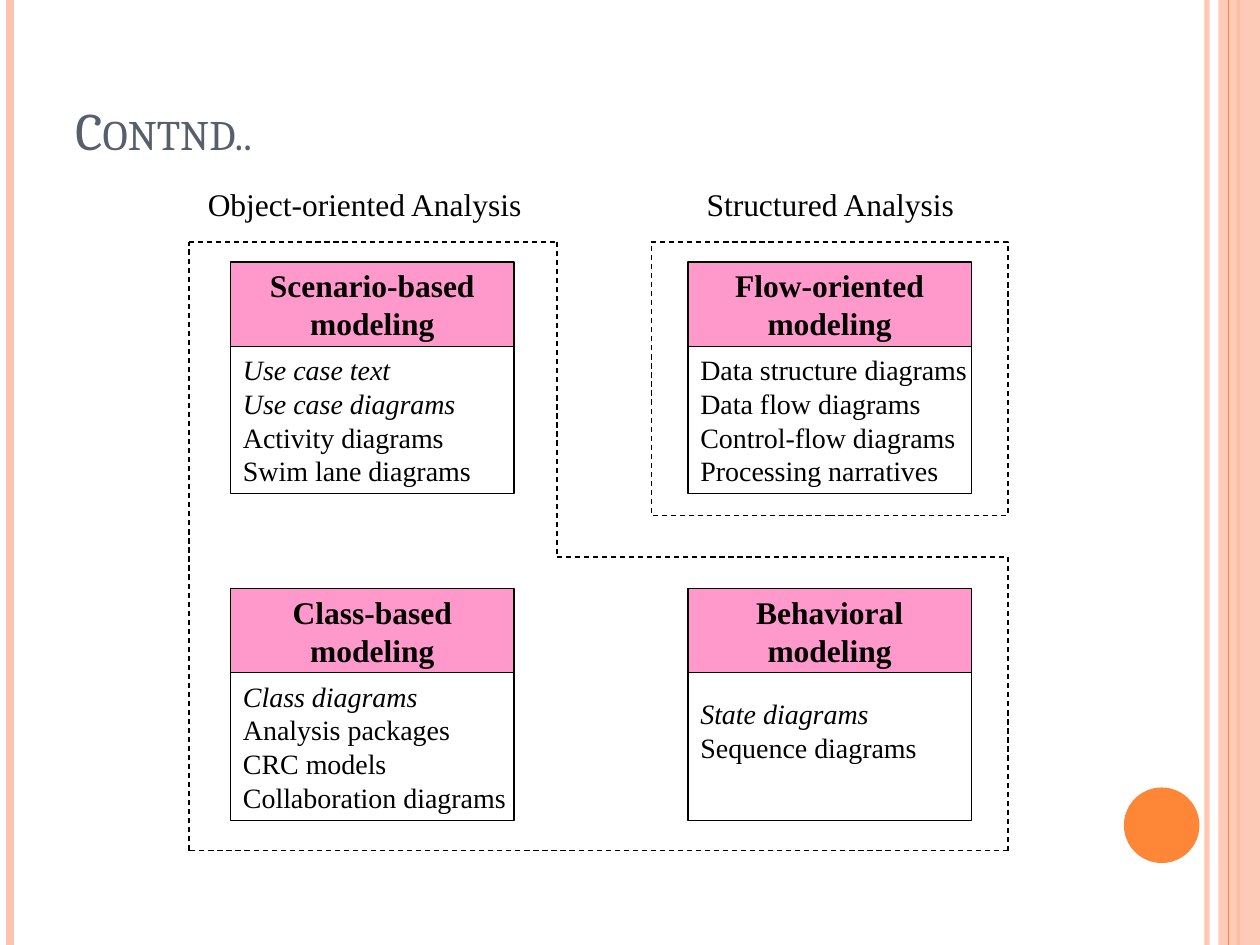
from dataclasses import dataclass
from itertools import pairwise

from lxml import etree
from pptx import Presentation
from pptx.dml.color import RGBColor
from pptx.enum.dml import MSO_LINE
from pptx.enum.shapes import MSO_CONNECTOR, MSO_SHAPE
from pptx.enum.text import MSO_ANCHOR, PP_ALIGN
from pptx.oxml.ns import qn
from pptx.util import Inches, Pt

RECT, OVAL = MSO_SHAPE.RECTANGLE, MSO_SHAPE.OVAL
STRAIGHT, DASH = MSO_CONNECTOR.STRAIGHT, MSO_LINE.DASH
LEFT, CENTER = PP_ALIGN.LEFT, PP_ALIGN.CENTER
TOP, MIDDLE, BOTTOM = MSO_ANCHOR.TOP, MSO_ANCHOR.MIDDLE, MSO_ANCHOR.BOTTOM


@dataclass(frozen=True)
class Theme:
    ink: str = "000000"
    paper: str = "FFFFFF"
    pink: str = "FF99CC"
    peach: str = "FEC3AE"
    orange: str = "FE8637"
    slate: str = "575F6D"
    serif: str = "Times New Roman"
    display: str = "Cambria"
    title: int = 30
    head: int = 18
    body: int = 16
    thin: float = 0.75


def fade(fill, percent):
    """Set the opacity of the solid colour found inside an element."""
    color = fill.find(".//" + qn("a:srgbClr"))
    etree.SubElement(color, qn("a:alpha"), val=str(percent * 1000))


def write(frame, lines, *, size, font, color, bold=False, italics=0,
          align=LEFT, anchor=MIDDLE, wrap=False, caps=False):
    """Write one paragraph per line; the first `italics` lines are italic."""
    frame.word_wrap = wrap
    frame.vertical_anchor = anchor
    for i, line in enumerate(lines):
        para = frame.paragraphs[0] if i == 0 else frame.add_paragraph()
        para.alignment = align
        run = para.add_run()
        run.text = line
        run.font.size = Pt(size)
        run.font.name = font
        run.font.bold = bold
        run.font.italic = i < italics
        run.font.color.rgb = RGBColor.from_string(color)
        if caps:
            run.font._element.set("cap", "small")


class Board:
    def __init__(self, slide, theme):
        self.slide = slide
        self.theme = theme

    def shape(self, kind, x, y, w, h, fill=None, line=None, dash=None,
              alpha=None, home=None):
        """Draw a preset shape on the slide, or in the group `home`."""
        shapes = (home or self.slide).shapes
        item = shapes.add_shape(kind, *map(Inches, (x, y, w, h)))
        item.shadow.inherit = False
        if fill:
            item.fill.solid()
            item.fill.fore_color.rgb = RGBColor.from_string(fill)
        else:
            item.fill.background()
        if alpha:
            fade(item._element.spPr, alpha)
        if line:
            item.line.color.rgb = RGBColor.from_string(line)
            item.line.width = Pt(self.theme.thin)
            item.line.dash_style = dash
        else:
            item.line.fill.background()
        return item

    def line(self, start, end, color, width, dash=None, alpha=None):
        item = self.slide.shapes.add_connector(
            STRAIGHT, *map(Inches, (*start, *end)))
        item.line.color.rgb = RGBColor.from_string(color)
        item.line.width = Pt(width)
        item.line.dash_style = dash
        props = item._element.spPr
        if alpha:
            fade(props, alpha)
        etree.SubElement(props, qn("a:effectLst"))

    def rule(self, x, color, width, alpha=None):
        """Draw a line down the full height of the slide."""
        self.line((x, 0), (x, 7.5), color, width, alpha=alpha)

    def text(self, x, y, w, h, words, **style):
        box = self.slide.shapes.add_textbox(*map(Inches, (x, y, w, h)))
        write(box.text_frame, [words], **style)

    def label(self, x, w, words):
        t = self.theme
        self.text(x, 1.42, w, 0.4, words, size=t.head, font=t.serif,
                  color=t.ink, align=CENTER, anchor=TOP)

    def card(self, x, y, name, items, italics=0, pad=0.05):
        """Group a pink heading with the list of diagrams below it."""
        t = self.theme
        group = self.slide.shapes.add_group_shape()
        body = self.shape(RECT, x, y + 0.67, 2.25, 1.17, t.paper, t.ink,
                          home=group)
        body.text_frame.margin_bottom = Inches(pad)
        write(body.text_frame, items, size=t.body, font=t.serif,
              color=t.ink, italics=italics)
        head = self.shape(RECT, x, y, 2.25, 0.67, t.pink, t.ink, home=group)
        write(head.text_frame, [name, "modeling"], size=t.head, font=t.serif,
              color=t.ink, bold=True, align=CENTER)

    def loop(self, points):
        """Join the points with dashed lines and close the outline."""
        for start, end in pairwise([*points, points[0]]):
            self.line(start, end, self.theme.ink, self.theme.thin, DASH)


def main():
    deck = Presentation()
    deck.slide_width, deck.slide_height = Inches(10), Inches(7.5)
    theme = Theme()
    board = Board(deck.slides.add_slide(deck.slide_layouts[6]), theme)

    board.rule(9.58, theme.peach, 3, alpha=93)
    board.rule(0.08, theme.peach, 4.5)
    board.rule(9.83, theme.orange, 1.5)
    board.shape(RECT, 9.67, 0, 0.33, 7.5, theme.peach, alpha=87)
    board.rule(9.75, theme.orange, theme.thin)
    board.shape(OVAL, 8.92, 6.25, 0.6, 0.6, theme.orange)

    board.text(0.5, 0.3, 8.17, 1.03, "Contnd..", size=theme.title,
               font=theme.display, color=theme.slate, anchor=BOTTOM,
               wrap=True, caps=True)

    left, right = 1.83, 5.46
    upper, lower = 2.08, 4.67
    board.card(left, upper, "Scenario-based",
               ["Use case text", "Use case diagrams", "Activity diagrams",
                "Swim lane diagrams"], italics=2)
    board.card(left, lower, "Class-based",
               ["Class diagrams", "Analysis packages", "CRC models",
                "Collaboration diagrams"], italics=1)
    board.card(right, upper, "Flow-oriented",
               ["Data structure diagrams", "Data flow diagrams",
                "Control-flow diagrams", "Processing narratives"])
    board.card(right, lower, "Behavioral",
               ["State diagrams", "Sequence diagrams"], italics=1, pad=0.31)

    board.shape(RECT, 5.17, 1.92, 2.83, 2.17, line=theme.ink, dash=DASH)
    board.label(5.5, 2.18, "Structured Analysis")
    board.loop([(1.5, 1.92), (4.42, 1.92), (4.42, 4.42), (8, 4.42),
                (8, 6.75), (1.5, 6.75)])
    board.label(1.54, 2.71, "Object-oriented Analysis")

    deck.save("out.pptx")


if __name__ == "__main__":
    main()
